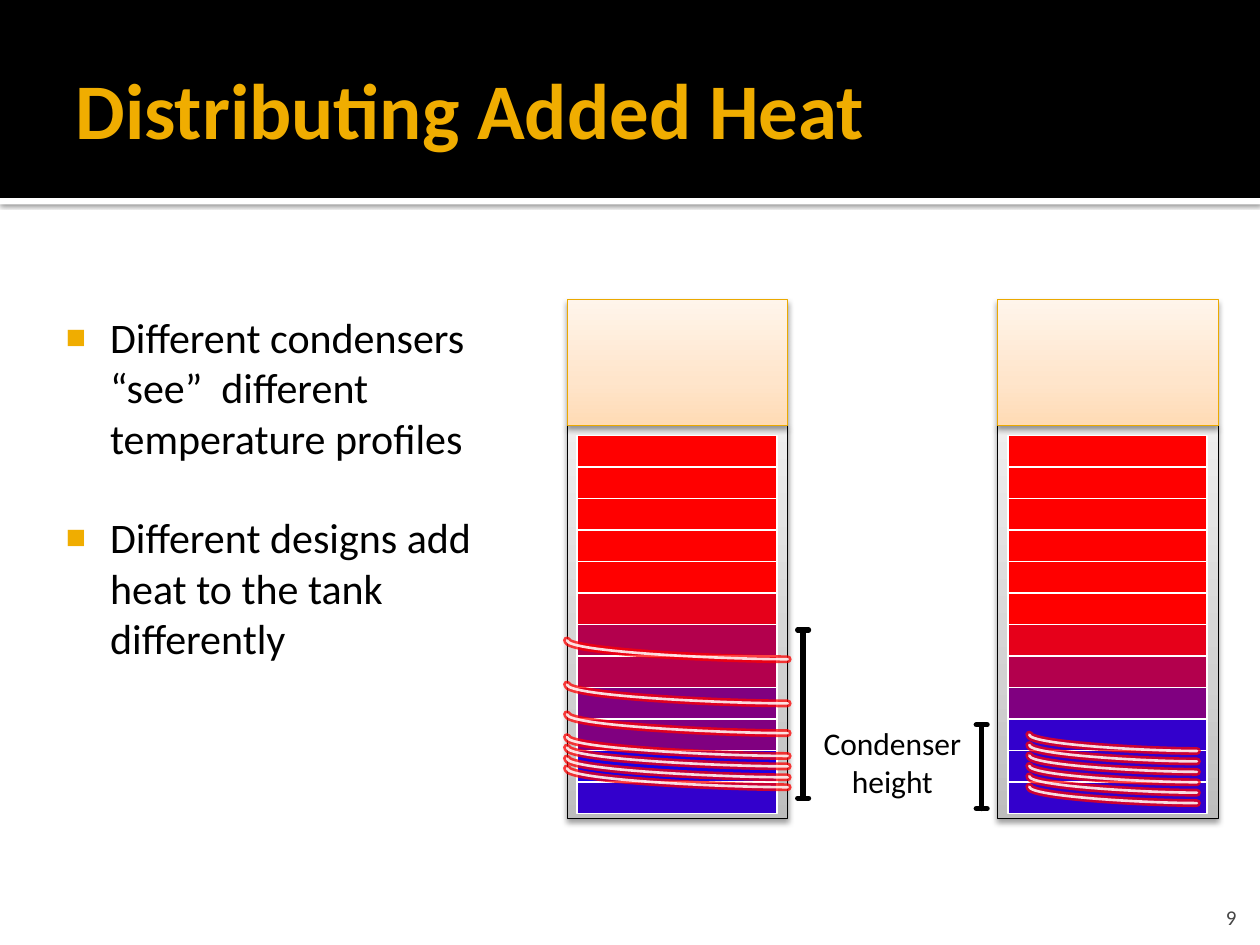
from lxml import etree
from pptx import Presentation
from pptx.dml.color import RGBColor
from pptx.enum.shapes import MSO_CONNECTOR, MSO_SHAPE
from pptx.enum.text import MSO_ANCHOR, MSO_AUTO_SIZE, PP_ALIGN
from pptx.oxml.ns import qn
from pptx.util import Cm, Pt

RECT, LINE = MSO_SHAPE.RECTANGLE, MSO_CONNECTOR.STRAIGHT
LEFT, MID, RIGHT = PP_ALIGN.LEFT, PP_ALIGN.CENTER, PP_ALIGN.RIGHT
TOP, HALF, BASE = MSO_ANCHOR.TOP, MSO_ANCHOR.MIDDLE, MSO_ANCHOR.BOTTOM

# Content (lengths in cm)
TITLE = "Distributing Added Heat"
POINTS = ["Different condensers “see”  different temperature profiles",
          "Different designs add heat to the tank differently"]
LABEL = "Condenser height"
GOLD, BLACK, WHITE, RED = "F0AD00", "000000", "FFFFFF", "FF0000"
WARM, WINE, PLUM, COLD = "E6001A", "B3004D", "800080", "3300CC"
STEEL = [(0, "BDBDBD"), (35, "D1D1D1"), (100, "EEEEEE")]
PEACH = [(0, "FFDBB5"), (35, "FFE5CB"), (100, "FFF5EB")]
TANKS = [
    dict(left=11.43, bands=[RED] * 5 + [WARM, WINE, WINE, PLUM, PLUM, "1A00E6", COLD],
         coil=(11.43, 4.45, 0.38),
         turns=[12.91, 13.8, 14.4, 14.86, 15.07, 15.29, 15.49]),
    dict(left=20.11, bands=[RED] * 6 + [WARM, WINE, PLUM] + [COLD] * 3,
         coil=(20.75, 3.38, 0.33),
         turns=[14.81 + 0.21 * i for i in range(6)]),
]
SPANS = [(16.19, 12.7, 16.09), (19.79, 14.61, 16.3)]  # x, top, bottom
COATS = [(RED, 4.5, 75), (WHITE, 1.5, 85)]  # colour, width, opacity

deck = Presentation()
deck.slide_width, deck.slide_height = Cm(25.4), Cm(19.05)
slide = deck.slides.add_slide(deck.slide_layouts[1])
shapes = slide.shapes


def tint(code):
    return RGBColor.from_string(code)


def add(node, tag, **attrs):
    return etree.SubElement(node, qn(tag), attrs)


def shade(shape, blur, dist, alpha):
    fx = shape._element.spPr.find(qn("a:effectLst"))
    drop = add(fx, "a:outerShdw", blurRad=str(Pt(blur)), dist=str(Pt(dist)),
               dir="5400000", algn="ctr", rotWithShape="0")
    add(add(drop, "a:srgbClr", val=BLACK), "a:alpha", val=str(alpha * 1000))


def stroke(shape, color, width, alpha=100, cap="flat"):
    shape.line.color.rgb = tint(color)
    shape.line.width = Pt(width)
    ln = shape._element.spPr.find(qn("a:ln"))
    ln.set("cap", cap)
    if alpha < 100:
        add(ln.find(".//" + qn("a:srgbClr")), "a:alpha", val=str(alpha * 1000))


def box(x, y, w, h, fill, line=None, width=1, shadow=None):
    shape = shapes.add_shape(RECT, Cm(x), Cm(y), Cm(w), Cm(h))
    shape.shadow.inherit = False
    if isinstance(fill, str):
        shape.fill.solid()
        shape.fill.fore_color.rgb = tint(fill)
    else:
        shape.fill.gradient()
        shape.fill.gradient_angle = 90
        stops = shape._element.spPr.find(".//" + qn("a:gsLst"))
        for old in list(stops):
            stops.remove(old)
        for pos, code in fill:
            add(add(stops, "a:gs", pos=str(pos * 1000)), "a:srgbClr", val=code)
    if line:
        stroke(shape, line, width)
    else:
        shape.line.fill.background()
    if shadow:
        shade(shape, *shadow)
    return shape


def rule(x1, y1, x2, y2):
    line = shapes.add_connector(LINE, Cm(x1), Cm(y1), Cm(x2), Cm(y2))
    stroke(line, BLACK, 3, cap="rnd")
    add(line._element.spPr, "a:effectLst")


def write(shape, place, *lines, size=18, color=BLACK, bold=False, align=LEFT,
          anchor=TOP, inset=(0.25, 0.13, 0.25, 0.13), gap=0, bullet=None):
    shape.left, shape.top, shape.width, shape.height = map(Cm, place)
    frame = shape.text_frame
    frame.word_wrap, frame.auto_size = True, MSO_AUTO_SIZE.NONE
    frame.vertical_anchor = anchor
    (frame.margin_left, frame.margin_top,
     frame.margin_right, frame.margin_bottom) = map(Cm, inset)
    frame.text = "\n".join(lines)
    for i, para in enumerate(frame.paragraphs):
        para.alignment = align
        para.space_before = Pt(gap if i else 0)
        font = para.runs[0].font
        font.name, font.size, font.bold = "Calibri", Pt(size), bold
        font.color.rgb = tint(color)
        if bullet:
            props = para._p.get_or_add_pPr()
            props.set("marL", str(Cm(1.22)))
            props.set("indent", str(Cm(-0.89)))
            add(add(props, "a:buClr"), "a:srgbClr", val=GOLD)
            add(props, "a:buSzPct", val="80000")
            add(props, "a:buChar", char=bullet)


def coil(x, y, w, h, color, width, alpha):
    """One turn: a cubic curve falling from top left to bottom right."""
    dots = [(Cm(x + w * a), Cm(y + h * b))
            for a, b in ((0, 0), (0, 0.6), (0.7, 1), (1, 1))]
    pen = shapes.build_freeform(*dots[0])
    pen.add_line_segments(dots[1:], close=False)
    turn = pen.convert_to_shape()
    route = turn._element.spPr.find(".//" + qn("a:path"))
    curve = add(route, "a:cubicBezTo")
    for leg in route.findall(qn("a:lnTo")):
        curve.append(leg[0])
        route.remove(leg)
    turn.fill.background()
    turn.shadow.inherit = False
    stroke(turn, color, width, alpha, cap="rnd")


# Header bands, behind the text
strip = box(0, 3.99, 25.4, 0.13, WHITE, shadow=(2.5, 0.8, 60))
head = box(0, 0, 25.4, 3.99, BLACK)
for i, band in enumerate((strip, head)):
    shapes._spTree.insert(2 + i, band._element)

# Title, list and page number
write(shapes.title, (1.27, 0.43, 22.86, 3.48), TITLE, size=45, color=GOLD,
      bold=True, anchor=HALF, inset=(0.25, 0.13, 0.13, 0.13))
write(slide.placeholders[1], (0.85, 6.03, 10.16, 10.48), *POINTS, size=24,
      inset=(0.15, 0.25, 0.25, 0.13), gap=28, bullet="■")
write(shapes.add_textbox(0, 0, 0, 0), (23.15, 17.99, 2.03, 0.76), "9", size=12,
      color="454545", align=RIGHT, anchor=BASE, inset=(0.25, 0.13, 0.25, 0))

# Tanks with temperature bands
for tank in TANKS:
    x = tank["left"]
    box(x, 8.57, 4.45, 7.94, STEEL, BLACK, 0.5, (3.5, 2, 38))
    step = 7.62 / len(tank["bands"])
    for i, code in enumerate(tank["bands"]):
        box(x + 0.21, 8.78 + i * step, 4.02, step, code, WHITE)
    box(x, 6.03, 4.45, 2.54, PEACH, "EBA900", 0.5, (3.5, 2, 38))

# Condenser height markers
write(shapes.add_textbox(0, 0, 0, 0), (16.19, 14.46, 3.6, 1.8), LABEL, align=MID)
for x, top, low in SPANS:
    rule(x, top, x, low)
    for y in (top, low):
        rule(x - 0.11, y, x + 0.11, y)

# Condenser coils: red coat, then a white core
for coat in COATS:
    for tank in TANKS:
        x, w, h = tank["coil"]
        for y in tank["turns"]:
            coil(x, y, w, h, *coat)

deck.save("out.pptx")
